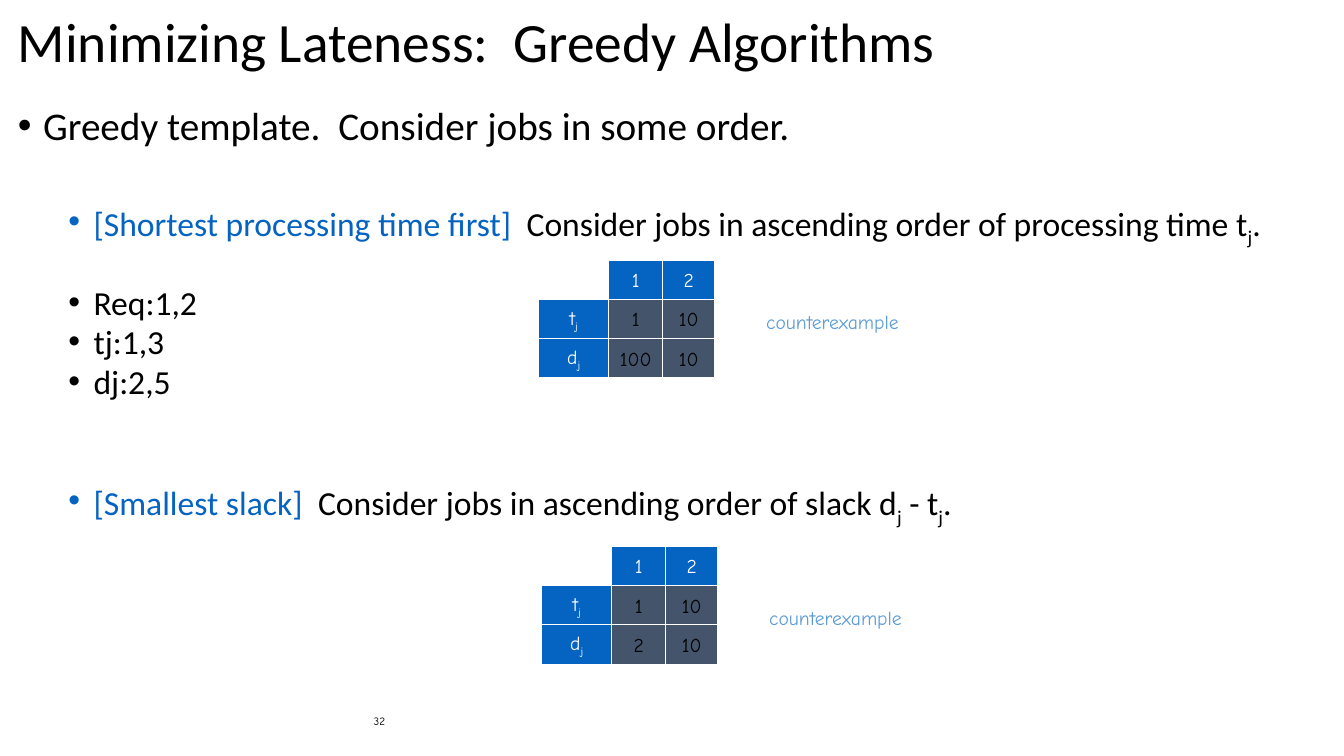
from itertools import accumulate

from pptx import Presentation
from pptx.dml.color import RGBColor
from pptx.enum.shapes import MSO_SHAPE
from pptx.enum.text import MSO_ANCHOR, PP_ALIGN
from pptx.oxml import parse_xml
from pptx.oxml.ns import nsdecls
from pptx.util import Inches, Pt

BLACK = RGBColor(0x00, 0x00, 0x00)
WHITE = RGBColor(0xFF, 0xFF, 0xFF)
BLUE = RGBColor(0x05, 0x63, 0xC1)
LIGHT_BLUE = RGBColor(0x5B, 0x9B, 0xD5)
SLATE = RGBColor(0x44, 0x54, 0x6A)
BODY_FONT = "Calibri"
HAND_FONT = "Comic Neue"
COLUMN_WIDTHS = (0.7, 0.53, 0.52)
ROW_HEIGHT = 0.39


def write(para, text, size=14, font=HAND_FONT, color=BLACK, align=PP_ALIGN.LEFT,
          spacing=None, before=0):
    """Fill a paragraph; text is a string or (text, format) pairs.

    A pair's format is a colour, or "sub" for a subscript.
    """
    para.alignment = align
    para.space_before = Pt(before)
    if spacing:
        para.line_spacing = spacing
    para.font.size = Pt(size)
    spans = [(text, color)] if isinstance(text, str) else text
    for words, style in spans:
        span = para.add_run()
        span.text = words
        span.font.size = Pt(size)
        span.font.name = font
        span.font.color.rgb = color if style == "sub" else style
        if style == "sub":
            span._r.get_or_add_rPr().set("baseline", "-25000")


def add_frame(page, left, top, width, height, anchor=MSO_ANCHOR.TOP):
    box = page.shapes.add_textbox(Inches(left), Inches(top), Inches(width), Inches(height))
    frame = box.text_frame
    frame.word_wrap = True
    frame.vertical_anchor = anchor
    return frame


def add_bullet(para, indent):
    properties = para._p.get_or_add_pPr()
    properties.set("marL", str(Inches(indent)))
    properties.set("indent", str(Inches(-0.25)))
    properties.append(parse_xml(f'<a:buFont {nsdecls("a")} typeface="Arial"/>'))
    properties.append(parse_xml(f'<a:buChar {nsdecls("a")} char="•"/>'))


def add_bullet_list(page, items):
    """Write items of (text, size, indent, space before)."""
    frame = add_frame(page, 0.08, 1.05, 13.18, 6.38)
    for index, (text, size, indent, before) in enumerate(items):
        para = frame.add_paragraph() if index else frame.paragraphs[0]
        add_bullet(para, indent)
        write(para, text, size=size, font=BODY_FONT, spacing=0.8, before=before)


def add_cell(page, left, top, width, text, is_header):
    cell = page.shapes.add_shape(MSO_SHAPE.RECTANGLE, Inches(left), Inches(top),
                                 Inches(width), Inches(ROW_HEIGHT))
    cell.shadow.inherit = False
    cell.fill.solid()
    cell.fill.fore_color.rgb = BLUE if is_header else SLATE
    cell.line.color.rgb = WHITE
    cell.line.width = Pt(0.75)
    frame = cell.text_frame
    frame.word_wrap = False
    frame.vertical_anchor = MSO_ANCHOR.MIDDLE
    write(frame.paragraphs[0], text, color=WHITE if is_header else BLACK,
          align=PP_ALIGN.CENTER)


def add_job_grid(page, left, top, times, deadlines):
    """Draw the job grid from rectangles, leaving the corner open."""
    rows = [("", "1", "2"),
            ([("t", WHITE), ("j", "sub")], *times),
            ([("d", WHITE), ("j", "sub")], *deadlines)]
    lefts = list(accumulate(COLUMN_WIDTHS, initial=left))
    for row_index, row in enumerate(rows):
        for column_index, text in enumerate(row):
            if text:
                add_cell(page, lefts[column_index], top + row_index * ROW_HEIGHT,
                         COLUMN_WIDTHS[column_index], text,
                         is_header=row_index == 0 or column_index == 0)


def add_counterexample(page, left, top, label_top, times, deadlines):
    add_job_grid(page, left, top, times, deadlines)
    label = add_frame(page, left + 2.16, label_top, 1.63, 0.34)
    write(label.paragraphs[0], "counterexample", color=LIGHT_BLUE)


def main():
    deck = Presentation()
    deck.slide_width, deck.slide_height = Inches(13.33), Inches(7.5)
    page = deck.slides.add_slide(deck.slide_layouts[6])

    title = add_frame(page, 0.08, 0.06, 11.5, 0.77, MSO_ANCHOR.MIDDLE)
    write(title.paragraphs[0], "Minimizing Lateness:  Greedy Algorithms",
          size=39.6, font=BODY_FONT, spacing=0.9)

    shortest_first = [
        ("[Shortest processing time first]", BLUE),
        ("  Consider jobs in ascending order of processing time t", BLACK),
        ("j", "sub"), (".", BLACK)]
    smallest_slack = [
        ("[Smallest slack]", BLUE),
        ("  Consider jobs in ascending order of slack d", BLACK),
        ("j", "sub"), (" - t", BLACK), ("j", "sub"), (".", BLACK)]
    add_bullet_list(page, [
        ("Greedy template.  Consider jobs in some order.", 28, 0.25, 0),
        (shortest_first, 24, 0.75, 41.6),
        ("Req:1,2", 24, 0.75, 33.2),
        ("tj:1,3", 24, 0.75, 5),
        ("dj:2,5", 24, 0.75, 5),
        (smallest_slack, 24, 0.75, 61.3)])

    add_counterexample(page, 5.34, 2.58, 3.03, ("1", "10"), ("100", "10"))
    add_counterexample(page, 5.37, 5.42, 5.96, ("1", "10"), ("2", "10"))

    number = add_frame(page, 0.92, 6.95, 3, 0.4, MSO_ANCHOR.MIDDLE)
    write(number.paragraphs[0], "32", size=8, align=PP_ALIGN.RIGHT)
    deck.save("out.pptx")


if __name__ == "__main__":
    main()
